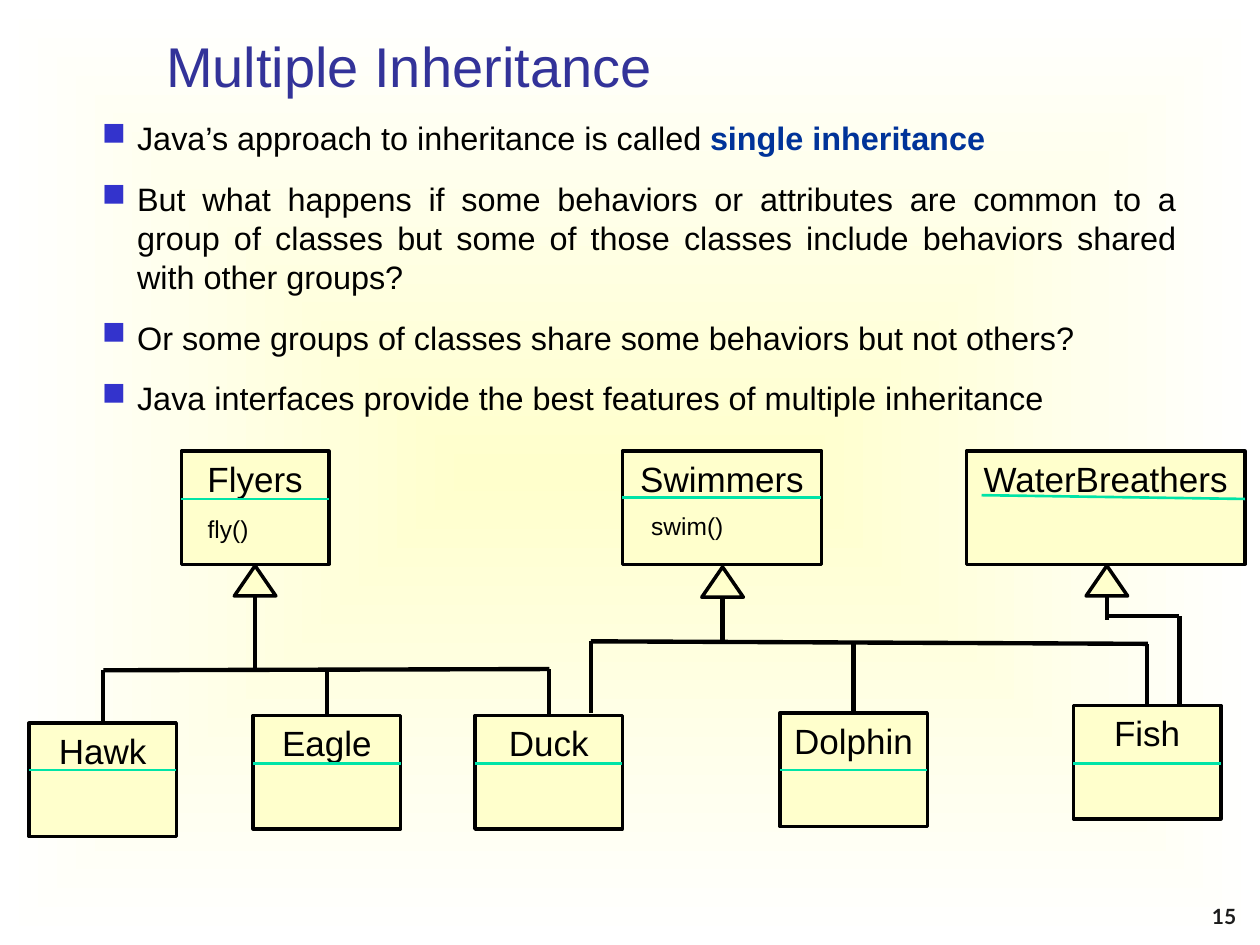
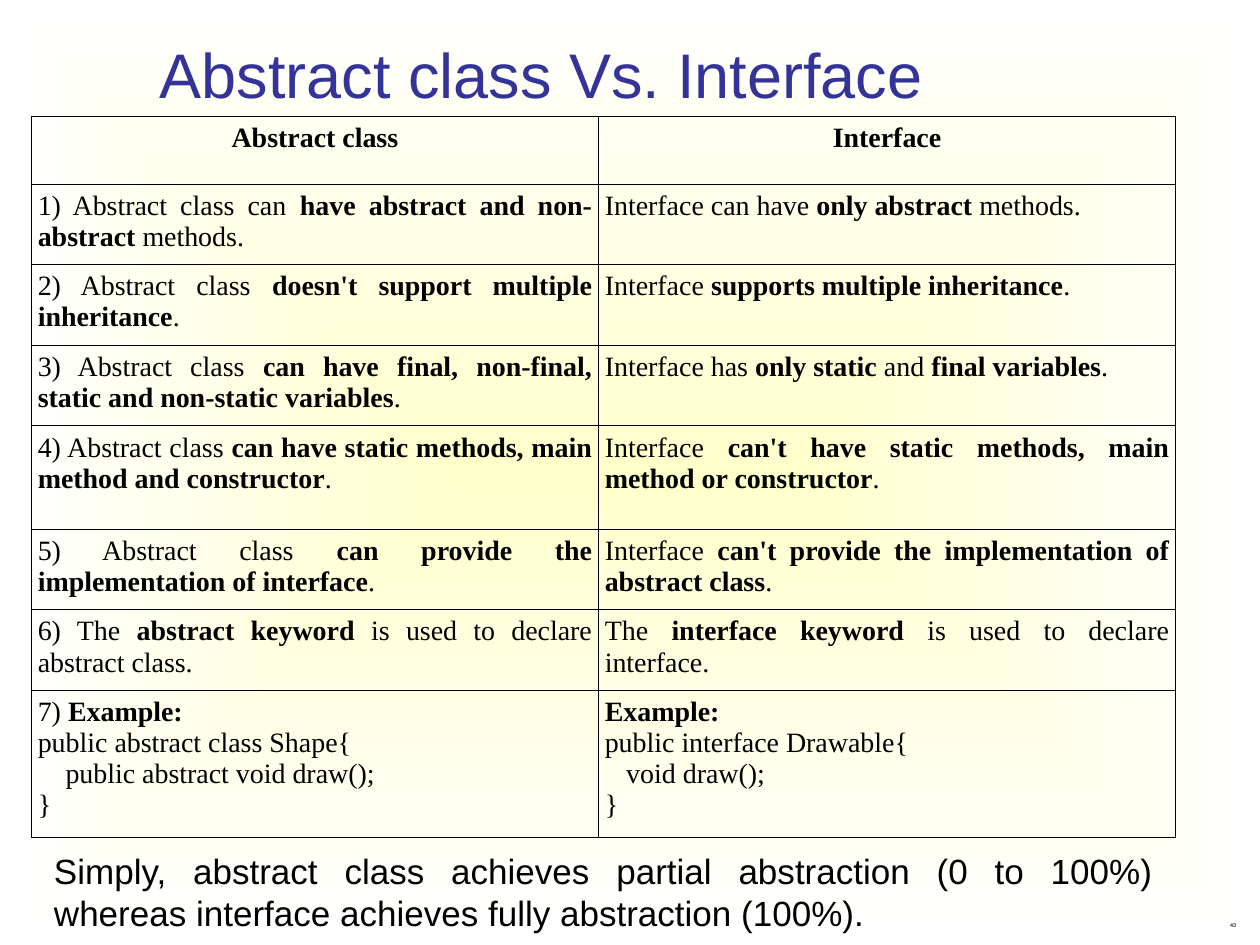
from lxml.etree import SubElement
from pptx import Presentation
from pptx.dml.color import RGBColor
from pptx.enum.shapes import MSO_CONNECTOR, MSO_SHAPE
from pptx.enum.text import MSO_ANCHOR, PP_ALIGN
from pptx.oxml.ns import qn
from pptx.util import Inches, Pt

BLACK, WHITE, CREAM = "000000", "FFFFFF", "FFFFCC"
TITLE_BLUE, BULLET_BLUE, ACCENT_BLUE = "333399", "3333CC", "003399"
DIVIDER_GREEN, NUMBER_GRAY = "00E4A7", "1C1C1C"
BODY_FONT, TABLE_FONT, NUMBER_FONT = "Arial", "Times New Roman", "Lato"
CLASS_HEIGHT, CLASS_WIDTH = 0.9, 1.17
ARROW_WIDTH, ARROW_HEIGHT = 0.33, 0.24

# Double asterisks switch bold on and off
BULLETS = [
    ("Java’s approach to inheritance is called **single inheritance", PP_ALIGN.JUSTIFY),
    ("But what happens if some behaviors or attributes are common to a group of "
     "classes but some of those classes include behaviors shared with other groups?",
     PP_ALIGN.JUSTIFY),
    ("Or some groups of classes share some behaviors but not others?", PP_ALIGN.LEFT),
    ("Java interfaces provide the best features of multiple inheritance", PP_ALIGN.LEFT),
]

COMPARISON = [
    ("**Abstract class", "**Interface"),
    ("1) Abstract class can **have abstract and non-abstract **methods.",
     "Interface can have **only abstract** methods."),
    ("2) Abstract class **doesn't support multiple inheritance**.",
     "Interface **supports multiple inheritance**."),
    ("3) Abstract class **can have final, non-final, static and non-static variables**.",
     "Interface has **only static **and** final variables**."),
    ("4) Abstract class **can have static methods, main method and constructor**.",
     "Interface **can't have static methods, main method or constructor**."),
    ("5) Abstract class **can provide the implementation of interface**.",
     "Interface **can't provide the implementation of abstract class**."),
    ("6) The **abstract keyword** is used to declare abstract class.",
     "The **interface keyword** is used to declare interface."),
    ("7) **Example:\npublic abstract class Shape{\n\tpublic abstract void draw();\n}",
     "**Example:\npublic interface Drawable{\n\tvoid draw();\n}"),
]
COLUMN_WIDTHS = [4.5, 4.58]
CODE_INDENTS = [0.22, 0.17]
ROW_HEIGHTS = [0.54, 0.64, 0.64, 0.64, 0.82, 0.64, 0.64, 1.17]


def color(value):
    return RGBColor.from_string(value)


def write(para, text, size=20, font=BODY_FONT, ink=BLACK, bold_ink=None,
          align=PP_ALIGN.LEFT, before=0, spacing=None):
    """Fill a paragraph; ** toggles bold."""
    para.alignment = align
    para.space_before = Pt(before)
    if spacing:
        para.line_spacing = spacing
    for index, part in enumerate(text.split("**")):
        if not part:
            continue
        bold = index % 2 == 1
        span = para.add_run()
        span.text = part
        span.font.size = Pt(size)
        span.font.name = font
        span.font.bold = bold
        span.font.color.rgb = color(bold_ink if bold and bold_ink else ink)


def indent(para, left, first=0):
    properties = para._p.get_or_add_pPr()
    properties.set("marL", str(Inches(left)))
    properties.set("indent", str(Inches(first)))
    return properties


def add_text(page, box, text="", anchor=MSO_ANCHOR.TOP, **style):
    frame = page.shapes.add_textbox(*map(Inches, box)).text_frame
    frame.word_wrap = True
    frame.vertical_anchor = anchor
    if text:
        write(frame.paragraphs[0], text, **style)
    return frame


def add_block(page, kind, box, outlined=True):
    block = page.shapes.add_shape(kind, *map(Inches, box))
    block.shadow.inherit = False
    block.fill.solid()
    block.fill.fore_color.rgb = color(CREAM)
    if outlined:
        block.line.color.rgb = color(BLACK)
        block.line.width = Pt(2)
    else:
        block.line.fill.background()
    block.text_frame.word_wrap = True
    return block


def add_line(page, start, end, ink=BLACK, width=2.5):
    line = page.shapes.add_connector(MSO_CONNECTOR.STRAIGHT, *map(Inches, (*start, *end)))
    line.line.color.rgb = color(ink)
    line.line.width = Pt(width)
    SubElement(line._element.spPr, qn("a:effectLst"))
    return line


def add_page(deck, title, title_box, title_size, number, number_size, spacing=None):
    """Start a slide with the shared background, title and number."""
    page = deck.slides.add_slide(deck.slide_layouts[6])
    fill = page.background.fill
    fill.gradient()
    for stop, ink in zip(fill.gradient_stops, (CREAM, WHITE)):
        stop.color.rgb = color(ink)
    gradient = page._element.find(".//" + qn("a:gradFill"))
    gradient.remove(gradient.find(qn("a:lin")))
    focus = SubElement(gradient, qn("a:path"), path="rect")
    SubElement(focus, qn("a:fillToRect"), dict.fromkeys("ltrb", "50000"))

    add_text(page, title_box, title, MSO_ANCHOR.BOTTOM, size=title_size, ink=TITLE_BLUE)
    add_text(page, (9.33, 7.25, 0.58, 0.17), "**" + number, MSO_ANCHOR.BOTTOM,
             size=number_size, font=NUMBER_FONT, ink=NUMBER_GRAY,
             align=PP_ALIGN.RIGHT, spacing=spacing)
    return page


def add_bullets(page, box):
    frame = add_text(page, box)
    for index, (text, align) in enumerate(BULLETS):
        para = frame.add_paragraph() if index else frame.paragraphs[0]
        write(para, text, size=18.5, bold_ink=ACCENT_BLUE, align=align, before=12.5)
        properties = indent(para, 0.28, -0.28)
        SubElement(SubElement(properties, qn("a:buClr")), qn("a:srgbClr"), val=BULLET_BLUE)
        SubElement(properties, qn("a:buChar"), char="■")


def add_class(page, name, left, top, width=CLASS_WIDTH, divider=0.38,
              divider_start=None, method=None, method_box=None):
    """Draw a class box; divider and method are placed from its corner."""
    block = add_block(page, MSO_SHAPE.RECTANGLE, (left, top, width, CLASS_HEIGHT))
    block.text_frame.vertical_anchor = MSO_ANCHOR.TOP
    write(block.text_frame.paragraphs[0], name, align=PP_ALIGN.CENTER)
    start_x, start_y = divider_start or (0, divider)
    add_line(page, (left + start_x, top + start_y), (left + width, top + divider),
             DIVIDER_GREEN, 1.5)
    if method:
        x, y, label_width = method_box
        label = add_block(page, MSO_SHAPE.RECTANGLE,
                          (left + x, top + y, label_width, 0.34), outlined=False)
        label.text_frame.vertical_anchor = MSO_ANCHOR.MIDDLE
        write(label.text_frame.paragraphs[0], method, size=14, before=6)
    return block


def add_inheritance(page, left, top, bar_start, bar_end, children=(), free_ends=(), stem_end=None):
    """Draw the arrow, stem, bar and drops below a parent class."""
    (x1, y1), (x2, y2) = bar_start, bar_end

    def bar_y(x):
        return y1 + (y2 - y1) * (x - x1) / (x2 - x1)

    add_block(page, MSO_SHAPE.ISOSCELES_TRIANGLE, (left, top, ARROW_WIDTH, ARROW_HEIGHT))
    middle = left + ARROW_WIDTH / 2
    add_line(page, (middle, top + ARROW_HEIGHT), (middle, stem_end or bar_y(middle)))
    add_line(page, bar_start, bar_end)
    for child in children:
        x = (child.left + child.width / 2) / Inches(1)
        drop = add_line(page, (x, bar_y(x)), (x, child.top / Inches(1)))
        drop.end_connect(child, 0)
    for x, y in free_ends:
        add_line(page, (x, bar_y(x)), (x, y))


def add_class_diagram(page):
    # Parent classes
    add_class(page, "Swimmers", 4.94, 3.58, 1.58, 0.37,
              method="swim()", method_box=(0.13, 0.42, 0.79))
    add_class(page, "WaterBreathers", 7.67, 3.58, 2.21, divider_start=(0.12, 0.35))
    add_class(page, "Flyers", 1.44, 3.58, method="fly()", method_box=(0.11, 0.45, 0.58))

    # Child classes
    hawk = add_class(page, "Hawk", 0.23, 5.74, divider=0.37)
    eagle = add_class(page, "Eagle", 2.01, 5.68)
    duck = add_class(page, "Duck", 3.77, 5.68)
    fish = add_class(page, "Fish", 8.52, 5.6, divider=0.46)
    dolphin = add_class(page, "Dolphin", 6.19, 5.66, divider=0.45)

    # Inheritance trees
    add_inheritance(page, 1.86, 4.49, (0.82, 5.32), (4.36, 5.31), [hawk, eagle, duck])
    add_inheritance(page, 5.57, 4.5, (4.69, 5.09), (9.11, 5.11), [fish, dolphin],
                    free_ends=[(4.69, 5.66)])
    add_inheritance(page, 8.62, 4.49, (8.79, 4.89), (9.36, 4.89),
                    free_ends=[(9.36, 5.6)], stem_end=4.92)


def style_cell(cell):
    cell.margin_left = cell.margin_right = Inches(0.05)
    cell.margin_top = cell.margin_bottom = Inches(0.05)
    properties = cell._tc.get_or_add_tcPr()
    for side in "LRTB":
        border = SubElement(properties, qn("a:ln" + side), w=str(Pt(0.45)))
        SubElement(SubElement(border, qn("a:solidFill")), qn("a:srgbClr"), val=BLACK)
    cell.fill.background()


def add_comparison(page, left, top):
    table = page.shapes.add_table(
        len(ROW_HEIGHTS), len(COLUMN_WIDTHS), Inches(left), Inches(top),
        Inches(sum(COLUMN_WIDTHS)), Inches(sum(ROW_HEIGHTS))).table
    table.first_row = table.horz_banding = False
    for column, width in zip(table.columns, COLUMN_WIDTHS):
        column.width = Inches(width)
    for row, height in zip(table.rows, ROW_HEIGHTS):
        row.height = Inches(height)
    for r, texts in enumerate(COMPARISON):
        for c, text in enumerate(texts):
            cell = table.cell(r, c)
            style_cell(cell)
            lines = text.split("\n")
            align = PP_ALIGN.JUSTIFY if len(lines) == 1 else PP_ALIGN.LEFT
            if r == 0:
                align = PP_ALIGN.CENTER
            for index, line in enumerate(lines):
                para = cell.text_frame.add_paragraph() if index else cell.text_frame.paragraphs[0]
                write(para, line.lstrip("\t"), size=16, font=TABLE_FONT, align=align)
                if line.startswith("\t"):
                    indent(para, CODE_INDENTS[c])


def build_inheritance_page(deck):
    page = add_page(deck, "Multiple Inheritance", (1.22, 0.15, 7.44, 0.68), 32, "15", 12)
    add_bullets(page, (0.71, 0.89, 8.72, 2.54))
    add_class_diagram(page)


def build_comparison_page(deck):
    page = add_page(deck, "Abstract class Vs. Interface", (1.17, 0.25, 7.44, 0.68), 36,
                    "43", 3, spacing=0.8)
    add_comparison(page, 0.25, 0.92)
    add_text(page, (0.33, 6.69, 8.92, 0.77),
             "Simply, abstract class achieves partial abstraction (0 to 100%) "
             "whereas interface achieves fully abstraction (100%).", align=PP_ALIGN.JUSTIFY)


def main():
    deck = Presentation()
    deck.slide_width, deck.slide_height = Inches(10), Inches(7.5)
    build_inheritance_page(deck)
    build_comparison_page(deck)
    deck.save("out.pptx")


if __name__ == "__main__":
    main()
